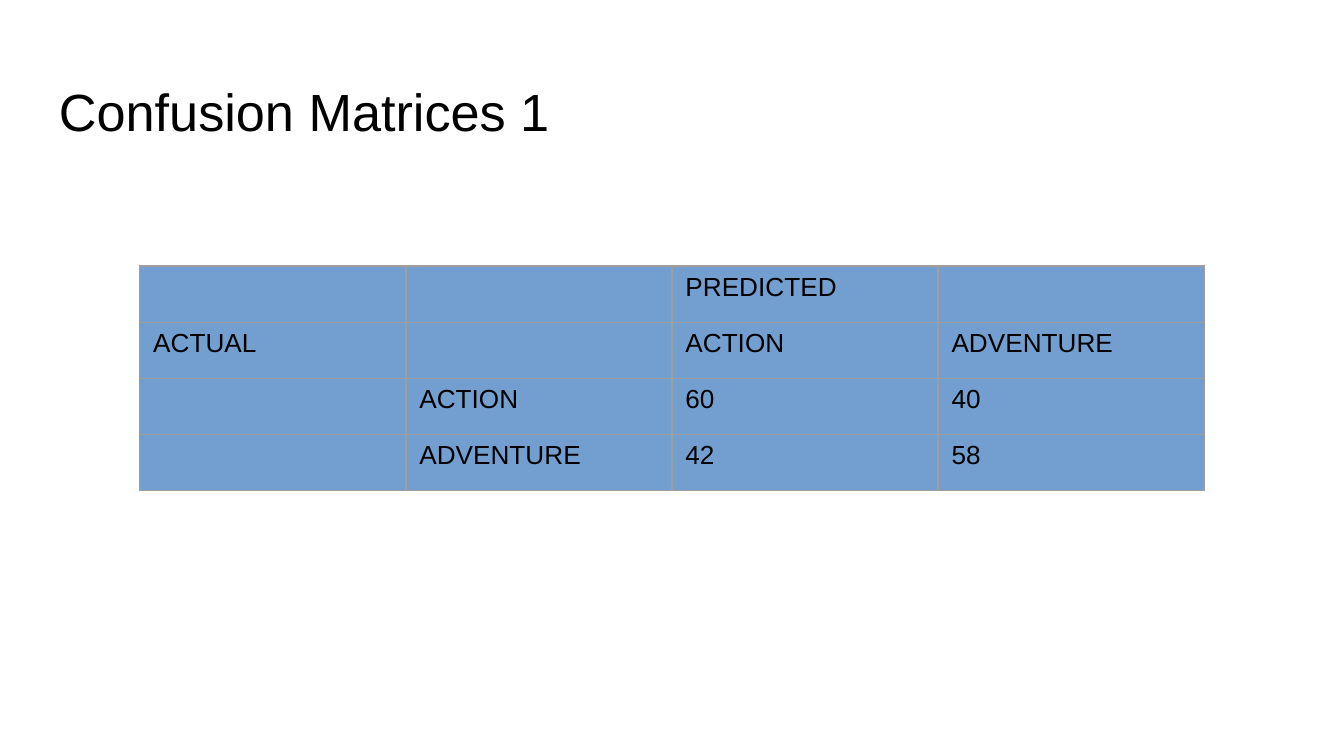
from lxml.etree import SubElement
from pptx import Presentation
from pptx.dml.color import RGBColor
from pptx.oxml.ns import qn
from pptx.util import Inches, Pt

TITLE = "Confusion Matrices 1"
MATRIX = [
    ["", "", "PREDICTED", ""],
    ["ACTUAL", "", "ACTION", "ADVENTURE"],
    ["", "ACTION", "60", "40"],
    ["", "ADVENTURE", "42", "58"],
]
COLORS = {"text": "000000", "cell": "729FCF", "border": "9E9E9E"}
FONT = "Arial"
SLIDE_WIDTH = 10
SLIDE_HEIGHT = SLIDE_WIDTH * 9 / 16
TABLE_WIDTH, TABLE_HEIGHT = 7.92, 1.67
BORDER_WIDTH = Pt(0.75)


def style_text(text_frame, size):
    paragraph = text_frame.paragraphs[0]
    for font in [paragraph.font] + [run.font for run in paragraph.runs]:
        font.name = FONT
        font.size = Pt(size)
        font.color.rgb = RGBColor.from_string(COLORS["text"])


def add_borders(cell):
    """Draw all four cell edges; they must precede the fill in the XML."""
    properties = cell._tc.get_or_add_tcPr()
    for edge in ("a:lnL", "a:lnR", "a:lnT", "a:lnB"):
        line = SubElement(properties, qn(edge), w=str(int(BORDER_WIDTH)))
        fill = SubElement(line, qn("a:solidFill"))
        SubElement(fill, qn("a:srgbClr"), val=COLORS["border"])


def add_title(slide):
    box = slide.shapes.add_textbox(Inches(0.34), Inches(0.49), Inches(9.32), Inches(0.63))
    frame = box.text_frame
    frame.word_wrap = True
    frame.margin_left = frame.margin_right = Inches(0.1)
    frame.margin_top = frame.margin_bottom = Inches(0.1)
    frame.text = TITLE
    style_text(frame, 28)


def add_matrix(slide):
    table = slide.shapes.add_table(
        len(MATRIX), len(MATRIX[0]), Inches(1.04), Inches(1.98),
        Inches(TABLE_WIDTH), Inches(TABLE_HEIGHT),
    ).table
    table.first_row = table.horz_banding = False
    for row, values in enumerate(MATRIX):
        for column, value in enumerate(values):
            cell = table.cell(row, column)
            cell.text = value
            style_text(cell.text_frame, 14)
            add_borders(cell)
            cell.fill.solid()
            cell.fill.fore_color.rgb = RGBColor.from_string(COLORS["cell"])


presentation = Presentation()
presentation.slide_width = Inches(SLIDE_WIDTH)
presentation.slide_height = Inches(SLIDE_HEIGHT)
slide = presentation.slides.add_slide(presentation.slide_layouts[6])
add_title(slide)
add_matrix(slide)
presentation.save("out.pptx")
